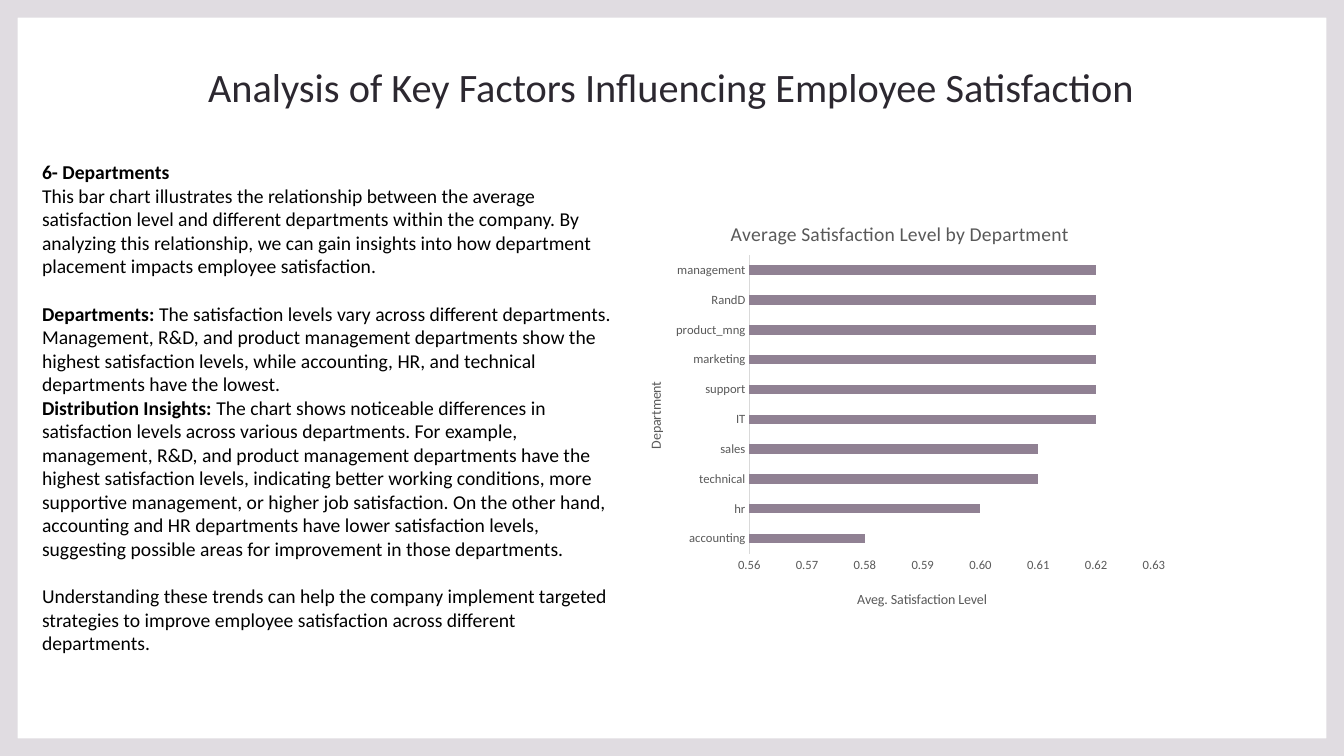
from lxml.etree import SubElement
from pptx import Presentation
from pptx.chart.data import CategoryChartData
from pptx.dml.color import RGBColor
from pptx.enum.chart import XL_CHART_TYPE as ChartType, XL_TICK_MARK as TickMark
from pptx.enum.shapes import MSO_SHAPE as Shape
from pptx.enum.text import MSO_ANCHOR as Anchor, PP_ALIGN as Align
from pptx.oxml.ns import qn
from pptx.util import Cm, Pt

FONT = "Calibri"
COLORS = {
    "frame": "E0DCE1",
    "heading": "2C2830",
    "body": "000000",
    "bar": "908193",
    "label": "595959",
    "axis": "D9D9D9",
}
SLIDE_SIZE = Cm(33.87), Cm(19.05)
FRAME_SHARE = 0.0233  # border thickness relative to the slide height
SECTION_GAP = 17

HEADING = "Analysis of Key Factors Influencing Employee Satisfaction"
# (bold lead, plain text, space before in points)
ANALYSIS = [
    ("6- Departments", "", 0),
    ("", "This bar chart illustrates the relationship between the average "
     "satisfaction level and different departments within the company. By "
     "analyzing this relationship, we can gain insights into how department "
     "placement impacts employee satisfaction.", 0),
    ("Departments:", " The satisfaction levels vary across different departments. "
     "Management, R&D, and product management departments show the highest "
     "satisfaction levels, while accounting, HR, and technical departments "
     "have the lowest.", SECTION_GAP),
    ("Distribution Insights:", " The chart shows noticeable differences in "
     "satisfaction levels across various departments. For example, management, "
     "R&D, and product management departments have the highest satisfaction "
     "levels, indicating better working conditions, more supportive management, "
     "or higher job satisfaction. On the other hand, accounting and HR "
     "departments have lower satisfaction levels, suggesting possible areas for "
     "improvement in those departments.", 0),
    ("", "Understanding these trends can help the company implement targeted "
     "strategies to improve employee satisfaction across different "
     "departments.", SECTION_GAP),
]
SATISFACTION = {
    "accounting": 0.58,
    "hr": 0.60,
    "technical": 0.61,
    "sales": 0.61,
    "IT": 0.62,
    "support": 0.62,
    "marketing": 0.62,
    "product_mng": 0.62,
    "RandD": 0.62,
    "management": 0.62,
}


def color(name):
    return RGBColor.from_string(COLORS[name])


def style_font(font, size, color_name, bold=False):
    font.name = FONT
    font.size = Pt(size)
    font.bold = bold
    font.color.rgb = color(color_name)


def add_run(paragraph, text, size, color_name, bold=False):
    run = paragraph.add_run()
    run.text = text
    style_font(run.font, size, color_name, bold)


def add_frame(slide):
    frame = slide.shapes.add_shape(Shape.FRAME, 0, 0, *SLIDE_SIZE)
    frame.adjustments[0] = FRAME_SHARE
    frame.shadow.inherit = False
    frame.fill.solid()
    frame.fill.fore_color.rgb = color("frame")
    frame.line.fill.background()


def add_heading(slide):
    heading = slide.shapes.add_textbox(Cm(3.43), Cm(1.47), Cm(26.97), Cm(1.27)).text_frame
    heading.word_wrap = True
    heading.vertical_anchor = Anchor.MIDDLE
    line = heading.paragraphs[0]
    line.alignment = Align.CENTER
    line.line_spacing = 1.1
    add_run(line, HEADING, 28.8, "heading")


def add_analysis(slide):
    analysis = slide.shapes.add_textbox(Cm(0.81), Cm(3.91), Cm(14.88), Cm(12.83)).text_frame
    analysis.word_wrap = True
    for index, (lead, text, gap) in enumerate(ANALYSIS):
        paragraph = analysis.add_paragraph() if index else analysis.paragraphs[0]
        if gap:
            paragraph.space_before = Pt(gap)
        if lead:
            add_run(paragraph, lead, 14, "body", bold=True)
        if text:
            add_run(paragraph, text, 14, "body")


def place(element, index, **shares):
    """Fix a chart part at shares (x, y, w, h) of the chart's size."""
    layout = element.find(qn("c:layout"))
    if layout is None:
        layout = SubElement(element, qn("c:layout"))
        element.insert(index, layout)
    manual = SubElement(layout, qn("c:manualLayout"))
    if "w" in shares:
        SubElement(manual, qn("c:layoutTarget")).set("val", "inner")
    for side in "xy":
        SubElement(manual, qn(f"c:{side}Mode")).set("val", "edge")
    for key, share in shares.items():
        SubElement(manual, qn(f"c:{key}")).set("val", str(share))


def set_title(title, text, size, x, y, rotation=0):
    frame = title.text_frame
    add_run(frame.paragraphs[0], text, size, "label")
    body = frame._txBody.find(qn("a:bodyPr"))
    body.set("rot", str(rotation * 60000))
    body.set("vert", "horz")
    place(title._element, 1, x=x, y=y)


def style_axis(axis):
    axis.has_major_gridlines = False
    axis.major_tick_mark = axis.minor_tick_mark = TickMark.NONE
    style_font(axis.tick_labels.font, 9, "label")


def add_satisfaction_chart(slide):
    data = CategoryChartData(number_format="0.00")
    data.categories = SATISFACTION.keys()
    data.add_series("Series 1", SATISFACTION.values())
    chart = slide.shapes.add_chart(
        ChartType.BAR_CLUSTERED, Cm(15.67), Cm(4.93), Cm(13.97), Cm(10.74), data
    ).chart
    chart.has_legend = False
    style_font(chart.font, 10, "body")

    bars = chart.plots[0]
    bars.gap_width = 219
    bars.vary_by_categories = False
    bars.series[0].format.fill.solid()
    bars.series[0].format.fill.fore_color.rgb = color("bar")

    departments, levels = chart.category_axis, chart.value_axis
    style_axis(departments)
    departments.format.line.color.rgb = color("axis")
    departments.format.line.width = Pt(0.75)
    style_axis(levels)
    levels.format.line.fill.background()
    levels.minimum_scale, levels.maximum_scale, levels.major_unit = 0.56, 0.63, 0.01
    levels.tick_labels.number_format = "0.00"
    levels.tick_labels.number_format_is_linked = False

    set_title(chart.chart_title, "Average Satisfaction Level by Department", 14, 0.19, 0.05)
    set_title(departments.axis_title, "Department", 10, 0.04, 0.43, rotation=-90)
    set_title(levels.axis_title, "Aveg. Satisfaction Level", 10, 0.42, 0.92)
    plot_area = chart._chartSpace.chart.plotArea
    place(plot_area, 0, x=0.23, y=0.14, w=0.73, h=0.7)


def main():
    deck = Presentation()
    deck.slide_width, deck.slide_height = SLIDE_SIZE
    slide = deck.slides.add_slide(deck.slide_layouts[6])
    add_frame(slide)
    add_heading(slide)
    add_analysis(slide)
    add_satisfaction_chart(slide)
    deck.save("out.pptx")


if __name__ == "__main__":
    main()
